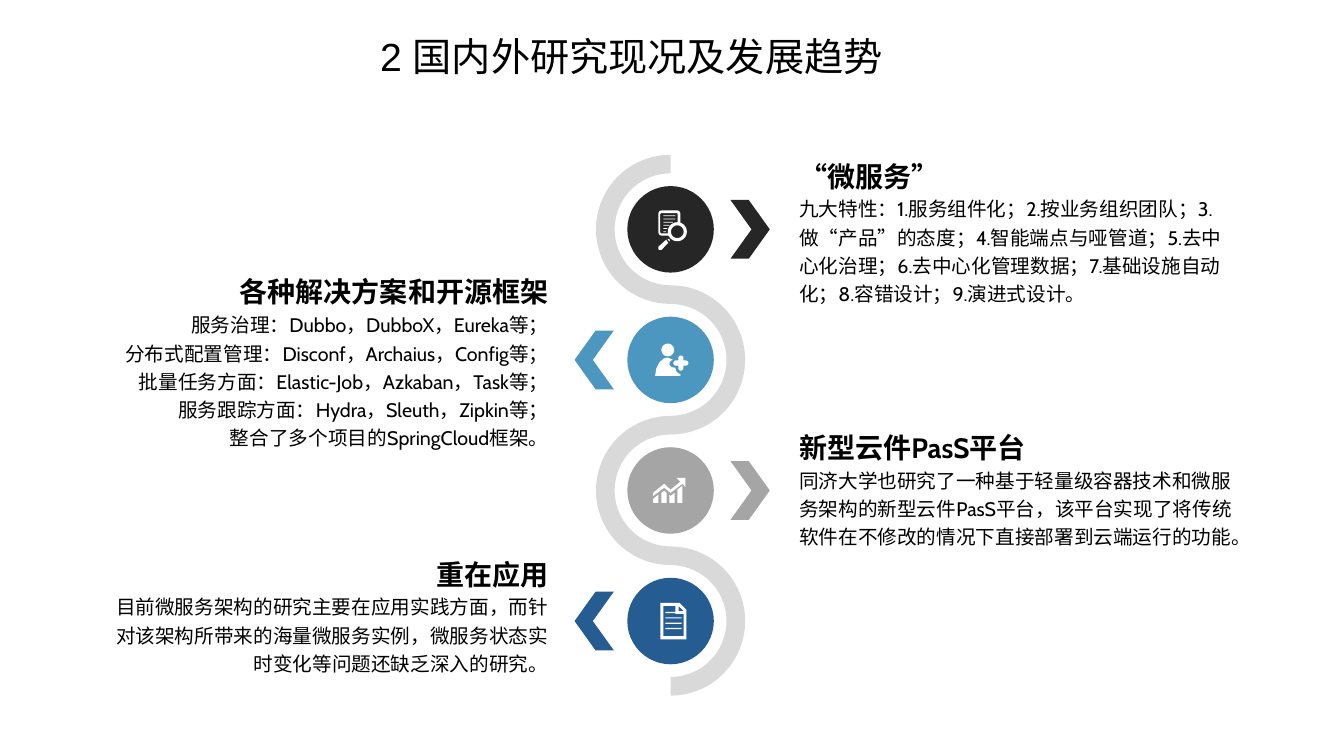
from math import cos, radians, sin

from pptx import Presentation
from pptx.dml.color import RGBColor
from pptx.enum.shapes import MSO_SHAPE
from pptx.enum.text import MSO_ANCHOR, MSO_AUTO_SIZE, PP_ALIGN
from pptx.util import Cm, Pt

OVAL, RECT = MSO_SHAPE.OVAL, MSO_SHAPE.RECTANGLE
LEFT, RIGHT = PP_ALIGN.LEFT, PP_ALIGN.RIGHT
MIDDLE, GROW = MSO_ANCHOR.MIDDLE, MSO_AUTO_SIZE.SHAPE_TO_FIT_TEXT

COLORS = {"black": "262626", "sky": "4B97BF", "gray": "A5A5A5", "navy": "255D93",
          "ribbon": "D9D9D9", "icon": "FFFFFF", "text": "000000"}
FONT = "Cabin"
TITLE = [("2 ", "Arial"), ("国内外研究现况及发展趋势", FONT)]

# Colour, side, top and height of the text (cm), heading, body lines
TOPICS = [
    ("black", "right", 3.84, 3.89, "“微服务”", [
        "九大特性：1.服务组件化；2.按业务组织团队；3.做“产品”的态度；"
        "4.智能端点与哑管道；5.去中心化治理；6.去中心化管理数据；"
        "7.基础设施自动化；8.容错设计；9.演进式设计。"]),
    ("sky", "left", 6.76, 4.62, "各种解决方案和开源框架", [
        "服务治理：Dubbo，DubboX，Eureka等；",
        "分布式配置管理：Disconf，Archaius，Config等；",
        "批量任务方面：Elastic-Job，Azkaban，Task等；",
        "服务跟踪方面：Hydra，Sleuth，Zipkin等；",
        "整合了多个项目的SpringCloud框架。"]),
    ("gray", "right", 10.67, 3.18, "新型云件PasS平台", [
        "同济大学也研究了一种基于轻量级容器技术和微服务架构的新型云件PasS平台，"
        "该平台实现了将传统软件在不修改的情况下直接部署到云端运行的功能。"]),
    ("navy", "left", 13.87, 3.18, "重在应用", [
        "目前微服务架构的研究主要在应用实践方面，而针对该架构所带来的海量微服务实例，"
        "微服务状态实时变化等问题还缺乏深入的研究。"]),
]
# Text left, alignment, chevron start, chevron direction
SIDES = {"right": (20.14, LEFT, 18.41, 1), "left": (2.87, RIGHT, 15.47, -1)}
TEXT_W = 10.95

CENTER_X, FIRST_Y = 16.9, 5.78
OUTER, INNER = 1.88, 1.41
STEP = OUTER + INNER
DISC_R = 1.09
CHEVRON = [(0, -0.74), (0.53, 0), (0, 0.74), (0.46, 0.74), (0.99, 0), (0.46, -0.74)]


def arc(cx, cy, radius, start, end):
    """Points along an arc; degrees run clockwise from the right."""
    steps = 36
    angles = [radians(start + (end - start) * i / steps) for i in range(steps + 1)]
    return [(cx + radius * cos(a), cy + radius * sin(a)) for a in angles]


def circle(cx, cy, radius):
    return arc(cx, cy, radius, 0, 360)


def rounded_plus(cx, cy, reach, half):
    points = []
    for angle in range(0, 360, 90):
        dx, dy = cos(radians(angle)), sin(radians(angle))
        points += arc(cx + reach * dx, cy + reach * dy, half, angle - 90, angle + 90)
        points.append((cx + half * (dx - dy), cy + half * (dx + dy)))
    return points


# Each icon: outlines (lists of contours) and bars (left, top, width, height),
# in cm from the middle of its disc
SEARCH = (
    [[[(-0.03, 0.1), (-0.24, 0.1), (-0.26, 0.08), (-0.26, -0.39), (-0.24, -0.41),
       (0.16, -0.41), (0.18, -0.39), (0.18, -0.15), (0.25, -0.15), (0.25, -0.4),
       (0.22, -0.46), (0.16, -0.48), (-0.22, -0.48), (-0.28, -0.46), (-0.31, -0.4),
       (-0.31, 0.08), (-0.28, 0.14), (-0.22, 0.16), (-0.03, 0.16)]],
     [circle(0.17, 0.06, 0.24), circle(0.17, 0.06, 0.16)],
     [[(-0.11, 0.26), (-0.06, 0.34), (-0.23, 0.52), (-0.29, 0.52), (-0.31, 0.49),
       (-0.31, 0.44)],
      [(-0.08, 0.24), (-0.03, 0.24), (-0.02, 0.28), (-0.03, 0.31)]]],
    [(-0.18, -0.35 + 0.08 * i, w, 0.02)
     for i, w in enumerate((0.3, 0.3, 0.24, 0.15, 0.1, 0.07))])
ADD_USER = (
    [[rounded_plus(0.26, 0.08, 0.125, 0.065)],
     [circle(-0.07, -0.25, 0.16),
      [(-0.39, 0.4), (-0.36, 0.22), (-0.28, 0.06), (-0.18, -0.03), (-0.08, -0.06),
       (0.05, -0.01), (-0.02, 0.05), (-0.03, 0.12), (0.02, 0.18), (0.12, 0.2),
       (0.14, 0.28), (0.19, 0.34), (0.25, 0.35), (0.25, 0.4)]]],
    [])
GROWTH = (
    [[[(-0.44, 0.31), (-0.31, 0.31), (-0.31, 0.11), (-0.44, 0.21)],
      [(-0.23, 0.31), (-0.1, 0.31), (-0.1, 0.06), (-0.16, 0.01), (-0.23, 0.06)],
      [(-0.03, 0.31), (0.1, 0.31), (0.1, 0.06), (0, 0.14), (-0.03, 0.11)],
      [(0.17, 0.31), (0.3, 0.31), (0.3, -0.12), (0.17, -0.02)]],
     [[(0.37, -0.32), (0.15, -0.32), (0.25, -0.22), (0, -0.02), (-0.16, -0.17),
       (-0.44, 0.06), (-0.44, 0.14), (-0.16, -0.07), (0, 0.06), (0.3, -0.17),
       (0.37, -0.09)]]],
    [])
DOCUMENT = (
    [[[(0.4, -0.28), (0.22, -0.46), (-0.26, -0.46), (-0.26, 0.46), (0.4, 0.46)],
      [(0.33, -0.25), (0.2, -0.25), (0.2, -0.38)],
      [(0.33, 0.38), (-0.18, 0.38), (-0.18, -0.38), (0.12, -0.38), (0.12, -0.18),
       (0.33, -0.18)]]],
    [(-0.13, -0.23 + 0.135 * i, 0.41, 0.03) for i in range(4)])
ICONS = [SEARCH, ADD_USER, GROWTH, DOCUMENT]


def paint(shape, color):
    shape.shadow.inherit = False
    shape.fill.solid()
    shape.fill.fore_color.rgb = RGBColor.from_string(COLORS[color])
    shape.line.fill.background()


def add_preset(shapes, kind, x, y, w, h, color):
    paint(shapes.add_shape(kind, Cm(x), Cm(y), Cm(w), Cm(h)), color)


def add_outline(shapes, contours, x, y, color):
    """Draw closed contours, given in cm from (x, y), as one freeform."""
    builder = None
    for contour in contours:
        points = [(Cm(x + dx), Cm(y + dy)) for dx, dy in contour]
        if builder is None:
            builder = shapes.build_freeform(*points[0])
        else:
            builder.move_to(*points[0])
        builder.add_line_segments(points[1:], close=True)
    paint(builder.convert_to_shape(), color)


def add_textbox(x, y, w, h):
    tf = s.shapes.add_textbox(Cm(x), Cm(y), Cm(w), Cm(h)).text_frame
    tf.word_wrap = True
    tf.margin_left = tf.margin_right = tf.margin_top = tf.margin_bottom = 0
    return tf


def ribbon_edge(radii):
    """One edge of the winding ribbon, bulging left and right in turn."""
    points = []
    for i in range(len(TOPICS)):
        turn = 180 if i % 2 == 0 else -180
        points += arc(0, i * STEP, radii[i % 2], -90, -90 - turn)
    return points


prs = Presentation()
prs.slide_width, prs.slide_height = Cm(33.87), Cm(19.05)
s = prs.slides.add_slide(prs.slide_layouts[6])

tf = add_textbox(9.58, 0.71, 14.53, 1.42)
tf.vertical_anchor = MIDDLE
p = tf.paragraphs[0]
p.font.size = Pt(28)
p.font.color.rgb = RGBColor.from_string(COLORS["text"])
for text, font in TITLE:
    r = p.add_run()
    r.text = text
    r.font.name = font

ribbon = ribbon_edge((OUTER, INNER)) + ribbon_edge((INNER, OUTER))[::-1]
add_outline(s.shapes, [ribbon], CENTER_X, FIRST_Y, "ribbon")

for i, (color, side, top, height, heading, body) in enumerate(TOPICS):
    y = FIRST_Y + i * STEP
    text_x, align, chevron_x, direction = SIDES[side]
    add_preset(s.shapes, OVAL, CENTER_X - DISC_R, y - DISC_R, 2 * DISC_R, 2 * DISC_R, color)
    add_outline(s.shapes, [[(direction * dx, dy) for dx, dy in CHEVRON]], chevron_x, y, color)

    outlines, bars = ICONS[i]
    icon = s.shapes.add_group_shape().shapes
    for contours in outlines:
        add_outline(icon, contours, CENTER_X, y, "icon")
    for dx, dy, w, h in bars:
        add_preset(icon, RECT, CENTER_X + dx, y + dy, w, h, "icon")

    tf = add_textbox(text_x, top, TEXT_W, height)
    tf.auto_size = GROW
    for n, line in enumerate([heading] + body):
        p = tf.add_paragraph() if n else tf.paragraphs[0]
        p.text = line
        p.alignment = align
        p.line_spacing = 1.2
        p.font.name = FONT
        p.font.size = Pt(14 if n else 20)
        p.font.bold = n == 0
        p.font.color.rgb = RGBColor.from_string(COLORS["text"])

prs.save("out.pptx")
